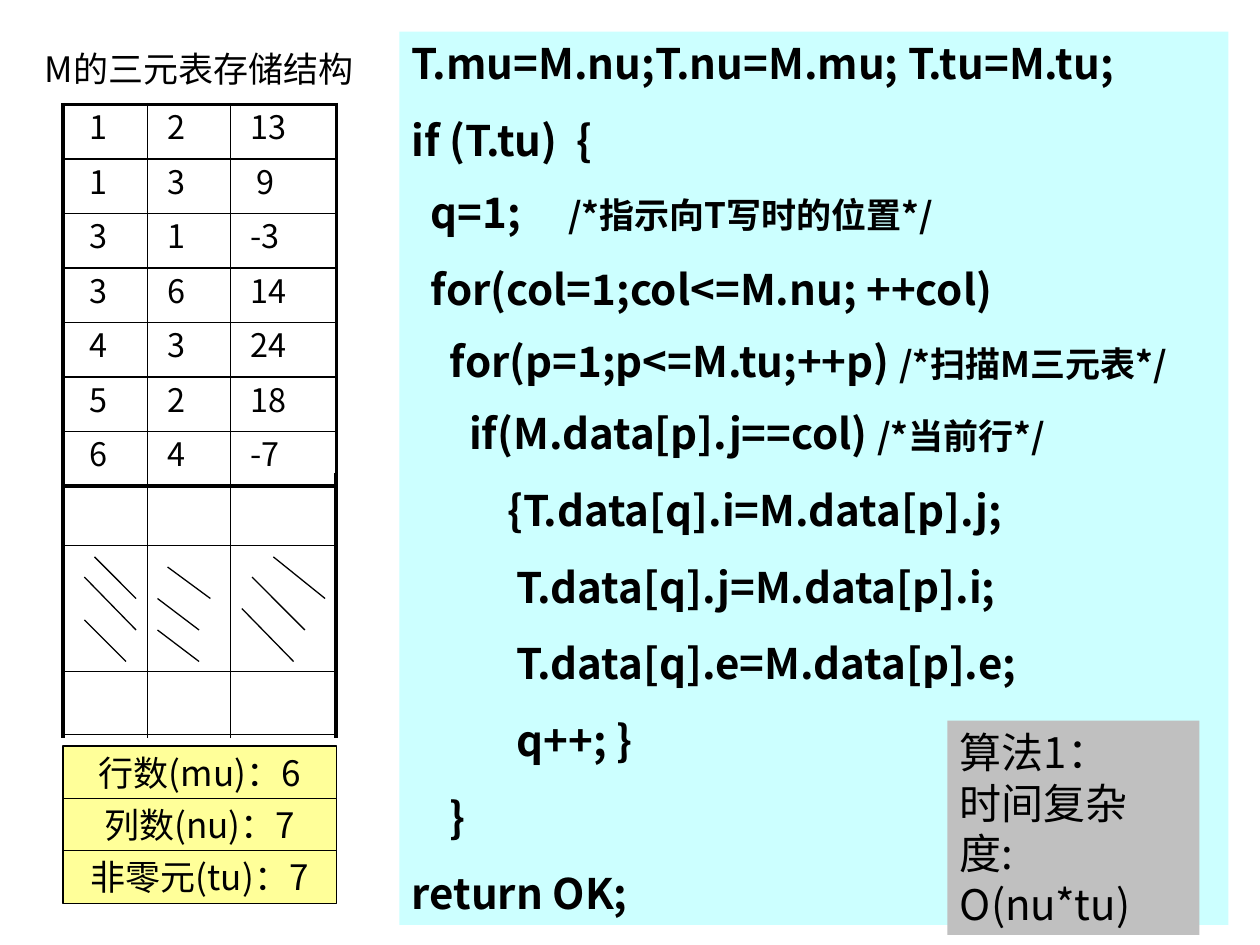
import pptx
import pptx.util
import pptx.dml.color
import pptx.enum.shapes
import pptx.enum.text
import pptx.oxml.ns
from lxml import etree

Inches, Pt = pptx.util.Inches, pptx.util.Pt
qn = pptx.oxml.ns.qn
ALIGN, ANCHOR = pptx.enum.text.PP_ALIGN, pptx.enum.text.MSO_ANCHOR
SHAPE = pptx.enum.shapes.MSO_SHAPE
FONT = "Noto Sans CJK SC"
COLORS = {"ink": "000000", "count": "FFFF99", "code": "CCFFFF", "note": "C0C0C0"}
EDGES = [0.5, 1.17, 1.83, 2.67]
LEFT, RIGHT = EDGES[0], EDGES[-1]
TOP, BOTTOM = 0.83, 3.86
TRIPLES = [(1, 2, 13), (1, 3, 9), (3, 1, -3), (3, 6, 14),
           (4, 3, 24), (5, 2, 18), (6, 4, -7)]
COUNTS = ["行数(mu)：6", "列数(nu)：7", "非零元(tu)：7"]
HATCH = [(0.75, 4.42, 1.08, 4.75), (0.67, 4.58, 1.08, 5), (0.67, 4.92, 1, 5.25),
         (1.33, 4.5, 1.67, 4.75), (1.25, 4.75, 1.58, 5), (1.25, 5, 1.58, 5.25),
         (2.17, 4.42, 2.58, 4.75), (2, 4.58, 2.42, 5), (1.92, 4.83, 2.33, 5.25)]
# Each line: code and comment
CODE = [("T.mu=M.nu;T.nu=M.mu; T.tu=M.tu;", ""),
        ("if (T.tu)  {", ""),
        ("  q=1;\t", "/*指示向T写时的位置*/"),
        ("  for(col=1;col<=M.nu; ++col)", ""),
        ("    for(p=1;p<=M.tu;++p) ", "/*扫描M三元表*/"),
        ("      if(M.data[p].j==col) ", "/*当前行*/"),
        ("          {T.data[q].i=M.data[p].j;", ""),
        ("           T.data[q].j=M.data[p].i;", ""),
        ("           T.data[q].e=M.data[p].e;", ""),
        ("           q++; }", ""),
        ("    }", ""),
        ("return OK;", "")]


def rgb(name):
    return pptx.dml.color.RGBColor.from_string(COLORS[name])


def style(para, size, bold=False):
    font = para.font
    font.name, font.size, font.bold = FONT, Pt(size), bold
    font.color.rgb = rgb("ink")
    for props in para._p.iter(qn("a:defRPr")):
        etree.SubElement(props, qn("a:ea"), typeface=FONT)


def add_line(slide, x1, y1, x2, y2, width=0.75):
    line = slide.shapes.add_connector(
        pptx.enum.shapes.MSO_CONNECTOR.STRAIGHT,
        Inches(x1), Inches(y1), Inches(x2), Inches(y2))
    line.line.color.rgb = rgb("ink")
    line.line.width = Pt(width)
    etree.SubElement(line._element.spPr, qn("a:effectLst"))


def add_box(slide, x, y, w, h, fill, edge=False):
    box = slide.shapes.add_shape(SHAPE.RECTANGLE, Inches(x), Inches(y),
                                 Inches(w), Inches(h))
    box.shadow.inherit = False
    box.fill.solid()
    box.fill.fore_color.rgb = rgb(fill)
    if edge:
        box.line.color.rgb = rgb("ink")
        box.line.width = Pt(0.75)
    else:
        box.line.fill.background()
    return box


def add_title(slide):
    title = slide.shapes.title
    title.left, title.top = Inches(0.13), Inches(0.42)
    title.width, title.height = Inches(2.9), Inches(0.25)
    frame = title.text_frame
    frame.text = "M的三元表存储结构"
    frame.word_wrap = False
    frame.auto_size = pptx.enum.text.MSO_AUTO_SIZE.NONE
    frame.vertical_anchor = ANCHOR.MIDDLE
    frame.paragraphs[0].alignment = ALIGN.CENTER
    style(frame.paragraphs[0], 20)


def set_edges(cell, widths):
    props = cell._tc.get_or_add_tcPr()
    for side, width in zip("LRTB", widths):
        line = etree.SubElement(props, qn("a:ln" + side), w=str(int(Pt(width))))
        fill = etree.SubElement(line, qn("a:solidFill"))
        etree.SubElement(fill, qn("a:srgbClr"), val=COLORS["ink"])


def add_triples(slide):
    rows, cols = len(TRIPLES), len(EDGES) - 1
    table = slide.shapes.add_table(rows, cols, Inches(LEFT), Inches(TOP),
                                   Inches(RIGHT - LEFT), Inches(BOTTOM - TOP)).table
    table.first_row = table.horz_banding = False
    for c in range(cols):
        table.columns[c].width = Inches(EDGES[c + 1] - EDGES[c])
    for r, triple in enumerate(TRIPLES):
        table.rows[r].height = Inches((BOTTOM - TOP) / rows)
        for c, value in enumerate(triple):
            cell = table.cell(r, c)
            outer = (c == 0, c == cols - 1, r == 0, r == rows - 1)
            set_edges(cell, [2.25 if out else 1 for out in outer])
            cell.fill.background()
            cell.text = str(value)
            deep = c == 0 or c == 2 and len(cell.text) == 1
            cell.margin_left = Inches(0.21 if deep else 0.16)
            cell.margin_top = cell.margin_bottom = Inches(0.01)
            para = cell.text_frame.paragraphs[0]
            para.line_spacing = 0.9
            style(para, 18.5)


def add_spare(slide):
    """Draw the unused rows below the triples."""
    for x in EDGES:
        add_line(slide, x, 3.75, x, 5.86, 2.25 if x in (LEFT, RIGHT) else 1)
    for y in (4.33, 5.33, 5.83):
        add_line(slide, LEFT, y, RIGHT, y)
    for ends in HATCH:
        add_line(slide, *ends)


def add_counts(slide):
    for i, text in enumerate(COUNTS):
        box = add_box(slide, LEFT, 5.92 + i * 0.415, RIGHT - LEFT, 0.42,
                      "count", edge=True)
        frame = box.text_frame
        frame.text = text
        frame.word_wrap = False
        frame.vertical_anchor = ANCHOR.MIDDLE
        frame.paragraphs[0].alignment = ALIGN.CENTER
        style(frame.paragraphs[0], 20)


def add_code(slide):
    frame = add_box(slide, 3.17, 0.25, 6.58, 7.09, "code").text_frame
    frame.word_wrap = True
    frame.vertical_anchor = ANCHOR.TOP
    for i, (code, remark) in enumerate(CODE):
        para = frame.add_paragraph() if i else frame.paragraphs[0]
        para.alignment = ALIGN.LEFT
        if i:
            para.space_before = Pt(12.5 if remark else 15)
        if "\t" in code:
            tabs = etree.SubElement(para._p.get_or_add_pPr(), qn("a:tabLst"))
            etree.SubElement(tabs, qn("a:tab"), pos=str(int(Inches(1.24))), algn="l")
        style(para, 24, bold=True)
        para.add_run().text = code
        if remark:
            run = para.add_run()
            run.text = remark
            run.font.size = Pt(20)


def add_note(slide):
    frame = add_box(slide, 7.52, 5.72, 2, 1.7, "note").text_frame
    frame.text = "算法1：\v时间复杂度:\vO(nu*tu)"
    frame.word_wrap = True
    frame.vertical_anchor = ANCHOR.TOP
    frame.margin_right = Inches(0.45)
    frame.paragraphs[0].alignment = ALIGN.LEFT
    style(frame.paragraphs[0], 24)


def main():
    deck = pptx.Presentation()
    deck.slide_width, deck.slide_height = Inches(10), Inches(7.5)
    slide = deck.slides.add_slide(deck.slide_layouts[5])
    add_title(slide)
    add_spare(slide)
    add_counts(slide)
    add_triples(slide)
    add_code(slide)
    add_note(slide)
    deck.save("out.pptx")


if __name__ == "__main__":
    main()
